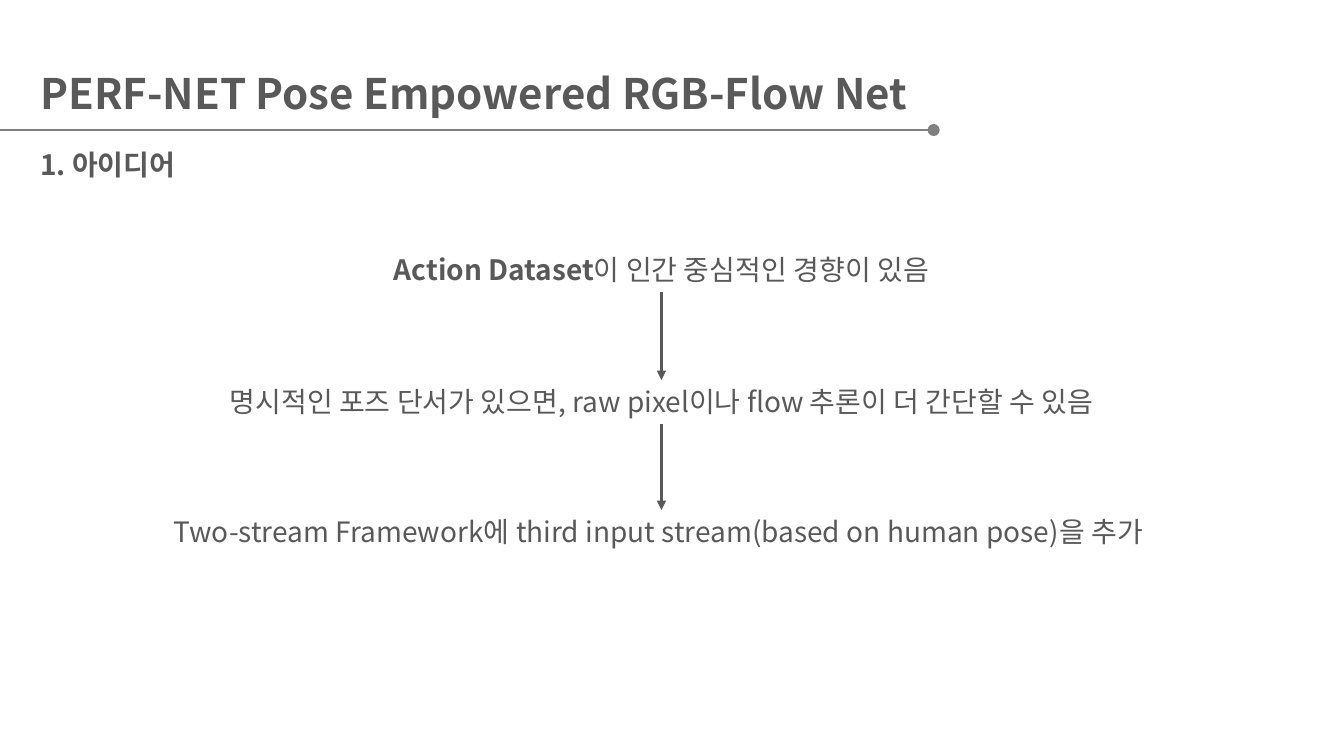
from lxml import etree
from pptx import Presentation
from pptx.dml.color import RGBColor
from pptx.enum import shapes, text
from pptx.oxml import ns
from pptx.util import Inches, Pt

INK = RGBColor(0x59, 0x59, 0x59)
RULE_GRAY = RGBColor(0x80, 0x80, 0x80)
FONT = "Noto Sans CJK KR"
FLOW_X = 6.56
LINE_HEIGHT = 0.44

STEPS = [
    (2.46, 6.06, [("Action Dataset", True), ("이 인간 중심적인 경향이 있음", False)]),
    (3.77, 9.88, [("명시적인 포즈 단서가 있으면, raw pixel이나 flow 추론이 더 간단할 수 있음", False)]),
    (5.06, 10.68, [("Two-stream Framework에 third input stream(based on human pose)을 추가 ", False)]),
]


def apply_format(target, values):
    for name, value in values.items():
        setattr(target, name, value)


def write_text(holder, pieces, size, align=text.PP_ALIGN.LEFT):
    frame = holder.text_frame
    apply_format(frame, {
        "word_wrap": True,
        "auto_size": text.MSO_AUTO_SIZE.SHAPE_TO_FIT_TEXT,
        "vertical_anchor": text.MSO_ANCHOR.TOP,
    })
    paragraph = frame.paragraphs[0]
    paragraph.alignment = align
    for words, bold in pieces:
        run = paragraph.add_run()
        run.text = words
        apply_format(run.font, {"size": Pt(size), "name": FONT, "bold": bold})
        run.font.color.rgb = INK
        east_asian = etree.SubElement(run.font._element, ns.qn("a:ea"))
        east_asian.set("typeface", FONT)


def add_label(slide, left, top, width, pieces, align=text.PP_ALIGN.LEFT):
    label = slide.shapes.add_textbox(
        Inches(left), Inches(top), Inches(width), Inches(LINE_HEIGHT))
    write_text(label, pieces, 20, align)


def add_line(slide, start, end, color, weight, arrow=False):
    line = slide.shapes.add_connector(
        shapes.MSO_CONNECTOR.STRAIGHT, *map(Inches, start + end))
    line.line.color.rgb = color
    line.line.width = Pt(weight)
    if arrow:
        etree.SubElement(line.line._get_or_add_ln(), ns.qn("a:tailEnd"), type="triangle")
    etree.SubElement(line._element.spPr, ns.qn("a:effectLst"))


def add_dot(slide, left, top, size):
    dot = slide.shapes.add_shape(
        shapes.MSO_SHAPE.OVAL, Inches(left), Inches(top), Inches(size), Inches(size))
    dot.shadow.inherit = False
    dot.fill.solid()
    dot.fill.fore_color.rgb = RULE_GRAY
    dot.line.fill.background()


def add_title(slide, words):
    title = slide.shapes.title
    apply_format(title, {
        "left": Inches(0.3), "top": Inches(0.62),
        "width": Inches(9.27), "height": Inches(0.61),
    })
    write_text(title, [(words, True)], 30)


def main():
    deck = Presentation()
    apply_format(deck, {"slide_width": Inches(13.33), "slide_height": Inches(7.5)})
    slide = deck.slides.add_slide(deck.slide_layouts[5])

    add_line(slide, (0, 1.29), (9.25, 1.29), RULE_GRAY, 2)
    add_dot(slide, 9.2, 1.23, 0.12)
    add_title(slide, "PERF-NET Pose Empowered RGB-Flow Net")
    add_label(slide, 0.3, 1.41, 8.95, [("1. 아이디어", True)])

    for top, width, pieces in STEPS:
        add_label(slide, FLOW_X - width / 2, top, width, pieces, text.PP_ALIGN.CENTER)
    for upper, lower in zip(STEPS, STEPS[1:]):
        add_line(slide, (FLOW_X, upper[0] + LINE_HEIGHT), (FLOW_X, lower[0]),
                 INK, 2.25, arrow=True)

    deck.save("out.pptx")


if __name__ == "__main__":
    main()
